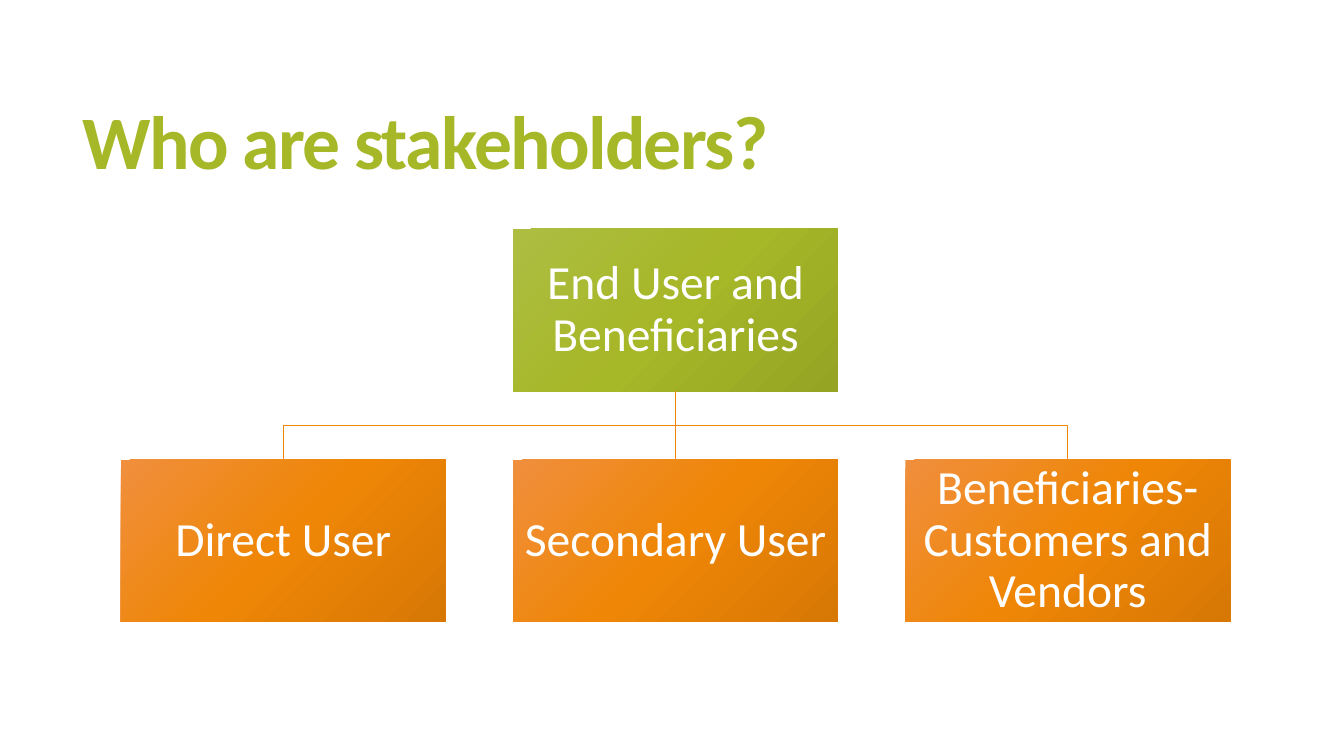
from copy import deepcopy

from lxml.etree import SubElement
from pptx import Presentation
from pptx.dml.color import RGBColor
from pptx.enum.shapes import MSO_CONNECTOR, MSO_SHAPE
from pptx.enum.text import MSO_ANCHOR, PP_ALIGN
from pptx.oxml.ns import qn
from pptx.util import Inches, Pt

GREEN = RGBColor(0xA6, 0xB7, 0x27)
ORANGE = RGBColor(0xEF, 0x86, 0x06)
WHITE = RGBColor(0xFF, 0xFF, 0xFF)
GREEN_SHADES = (RGBColor(0xAD, 0xBD, 0x42), GREEN, RGBColor(0x95, 0xA4, 0x23))
ORANGE_SHADES = (RGBColor(0xF0, 0x8F, 0x3D), ORANGE, RGBColor(0xD7, 0x78, 0x05))

FONT = "Calibri"
BOX_WIDTH, BOX_HEIGHT = 3.22, 1.61
COLUMN_STEP = 3.89
LEVEL_STEP = 2.29
USERS = ("Direct User", "Secondary User", "Beneficiaries-Customers and Vendors")


def write_text(shape, text, *, size, color, bold=False, align=PP_ALIGN.LEFT,
               line_spacing=1.0, inset=None, tracking=None):
    frame = shape.text_frame
    frame.word_wrap = True
    frame.vertical_anchor = MSO_ANCHOR.MIDDLE
    if inset is not None:
        frame.margin_left = frame.margin_right = Inches(inset)
        frame.margin_top = frame.margin_bottom = Inches(inset)
    paragraph = frame.paragraphs[0]
    paragraph.alignment = align
    paragraph.line_spacing = line_spacing
    run = paragraph.add_run()
    run.text = text
    run.font.name = FONT
    run.font.size = Pt(size)
    run.font.bold = bold
    run.font.color.rgb = color
    if tracking is not None:
        run.font._element.set("spc", str(round(tracking * 100)))


def fill_gradient(shape, shades):
    """Shade diagonally from the top left to the bottom right."""
    shape.fill.gradient()
    shape.fill.gradient_angle = 315
    stop_list = shape._element.spPr.find(qn("a:gradFill")).find(qn("a:gsLst"))
    stop_list.append(deepcopy(stop_list[0]))
    for stop, shade, position in zip(shape.fill.gradient_stops, shades, (0, 0.5, 1)):
        stop.color.rgb = shade
        stop.position = position


def add_title(slide, left, top, width, height):
    title = slide.shapes.add_textbox(
        Inches(left), Inches(top), Inches(width), Inches(height))
    write_text(title, "Who are stakeholders?", size=54, color=GREEN, bold=True,
               line_spacing=0.85, tracking=-1.2)


def add_box(slide, left, top, text, shades):
    box = slide.shapes.add_shape(
        MSO_SHAPE.RECTANGLE, Inches(left), Inches(top),
        Inches(BOX_WIDTH), Inches(BOX_HEIGHT))
    box.shadow.inherit = False
    box.line.fill.background()
    fill_gradient(box, shades)
    write_text(box, text, size=34, color=WHITE, align=PP_ALIGN.CENTER,
               line_spacing=0.9, inset=0.02)
    return box


def add_branch(slide, parent, child):
    """Link the bottom of the parent to the top of the child."""
    start_x, start_y = parent.left + parent.width // 2, parent.top + parent.height
    end_x, end_y = child.left + child.width // 2, child.top
    if abs(start_x - end_x) < Inches(0.01):
        branch = slide.shapes.add_connector(
            MSO_CONNECTOR.STRAIGHT, start_x, start_y, end_x, end_y)
        branch.begin_connect(parent, 2)
        branch.end_connect(child, 0)
        SubElement(branch._element.spPr, qn("a:effectLst"))
    else:
        middle_y = (start_y + end_y) // 2
        outline = slide.shapes.build_freeform(start_x, start_y)
        outline.add_line_segments(
            [(start_x, middle_y), (end_x, middle_y), (end_x, end_y)], close=False)
        branch = outline.convert_to_shape()
        branch.fill.background()
        branch.shadow.inherit = False
    branch.line.color.rgb = ORANGE
    branch.line.width = Pt(1)


def add_stakeholder_tree(slide, left, top):
    # End users above the middle column
    middle = len(USERS) // 2
    end_user = add_box(slide, left + middle * COLUMN_STEP, top,
                       "End User and Beneficiaries", GREEN_SHADES)
    # Kinds of user in a row below
    for column, user in enumerate(USERS):
        user_box = add_box(slide, left + column * COLUMN_STEP, top + LEVEL_STEP,
                           user, ORANGE_SHADES)
        add_branch(slide, end_user, user_box)


def main():
    presentation = Presentation()
    presentation.slide_width = Inches(13.33)
    presentation.slide_height = Inches(7.5)
    slide = presentation.slides.add_slide(presentation.slide_layouts[6])
    add_title(slide, 0.72, 0.55, 11.78, 1.81)
    add_stakeholder_tree(slide, 1.2, 2.27)
    presentation.save("out.pptx")


if __name__ == "__main__":
    main()
